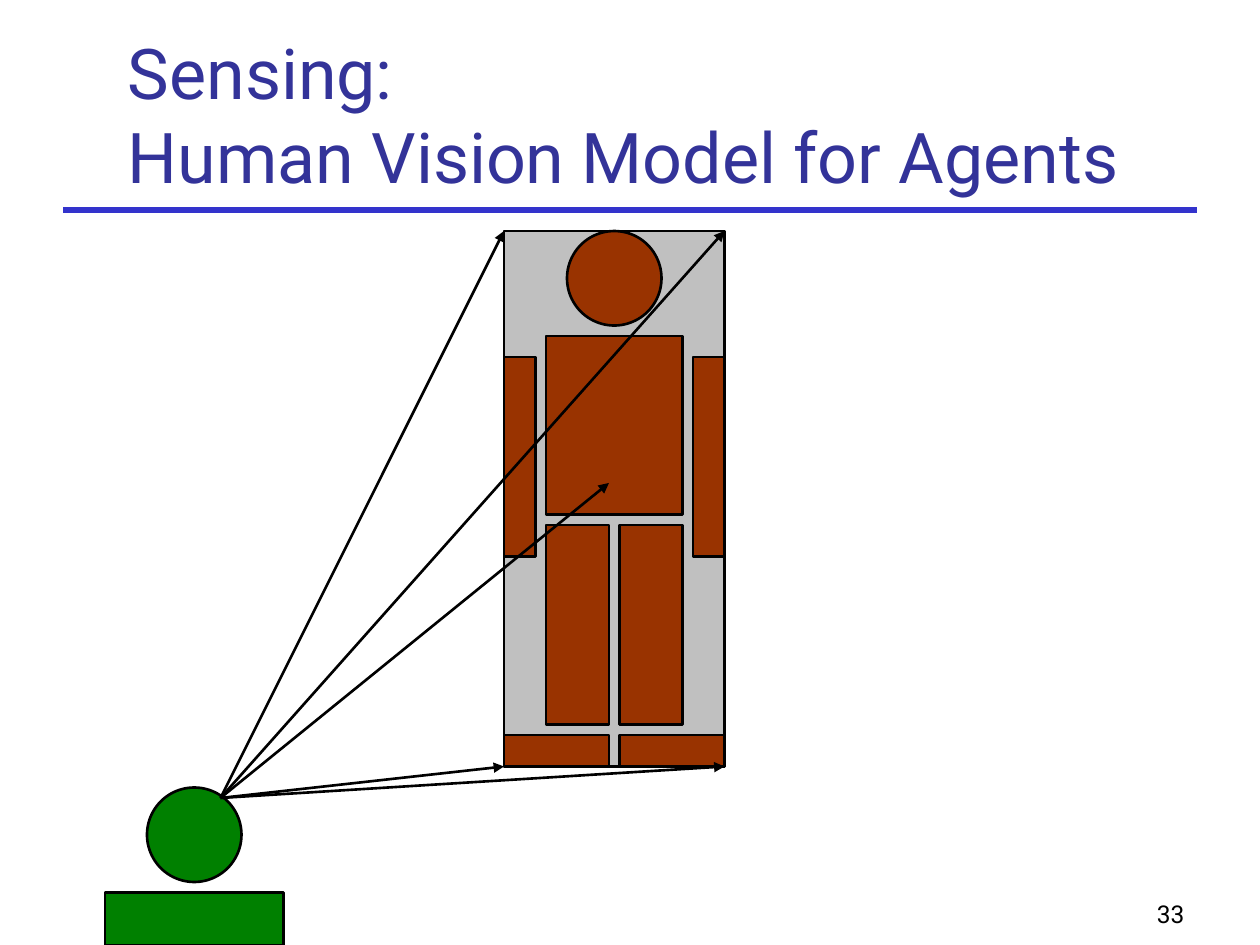
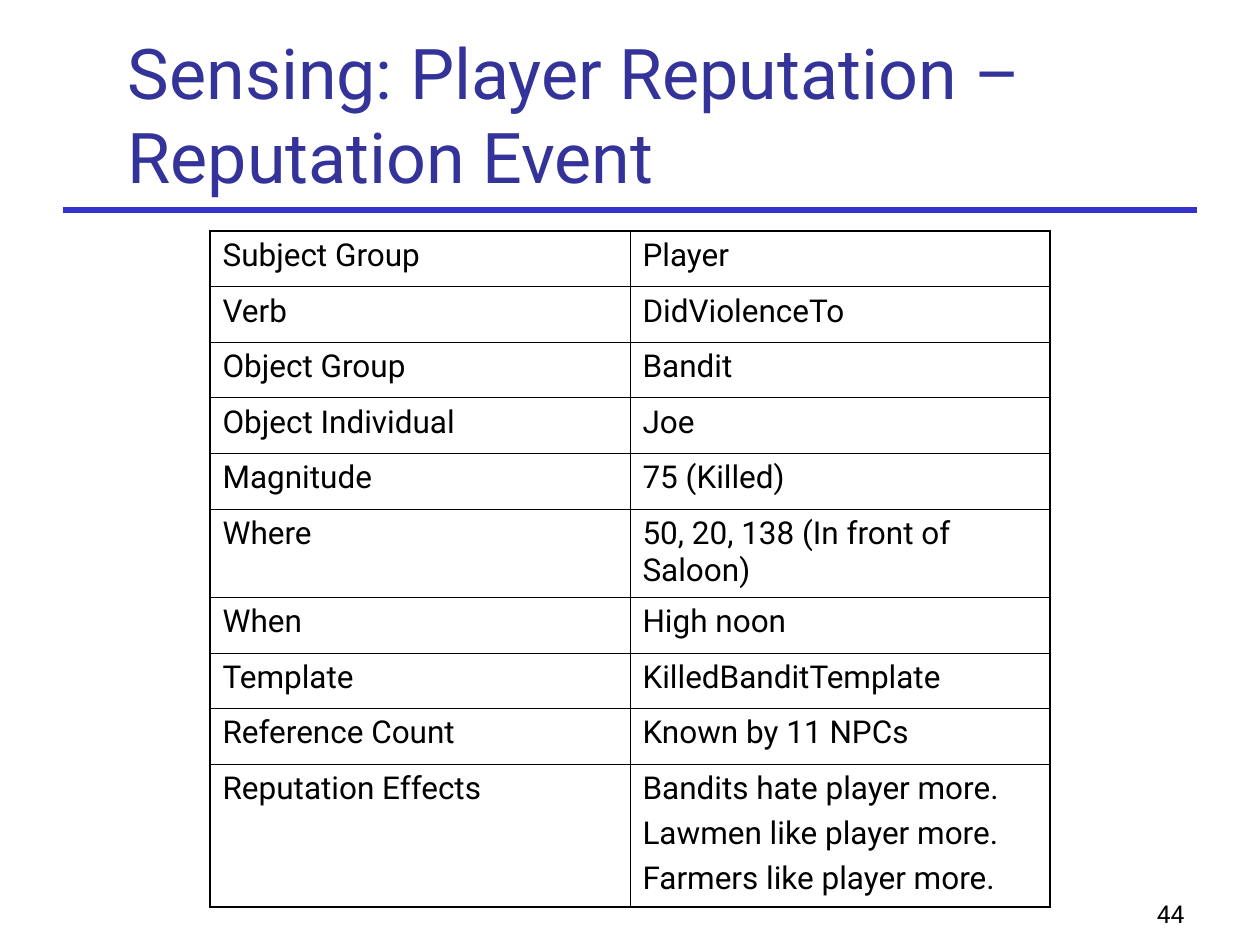
import dataclasses

import pptx
import pptx.dml.color
import pptx.enum.shapes
import pptx.enum.text
import pptx.oxml
import pptx.oxml.ns
import pptx.util

PX = 7620  # 120 px to the inch
RGB = pptx.dml.color.RGBColor.from_string
PT = pptx.util.Pt
SHAPE = pptx.enum.shapes.MSO_SHAPE
ANCHOR = pptx.enum.text.MSO_ANCHOR
ALIGN = pptx.enum.text.PP_ALIGN


@dataclasses.dataclass(frozen=True)
class Theme:
    font: str = "Roboto"
    ink: str = "000000"
    title: str = "333399"
    rule: str = "3333CC"
    box: str = "C0C0C0"
    target: str = "993300"
    viewer: str = "008000"
    title_size: int = 40
    table_size: int = 18
    number_size: int = 14
    rule_width: float = 3
    outline: float = 1.5
    table_frame: float = 1.08
    table_grid: float = 0.45
    paragraph_gap: float = 4.5


T = Theme()


def write(tf, lines, size, color, align=ALIGN.LEFT, **frame):
    """Fill a text frame with one paragraph per line; frame holds its settings."""
    for name, value in {"word_wrap": True, **frame}.items():
        setattr(tf, name, value)
    for i, line in enumerate(lines):
        p = tf.paragraphs[0] if i == 0 else tf.add_paragraph()
        p.alignment = align
        if i:
            p.space_before = PT(T.paragraph_gap)
        p.text = line
        for r in p.runs:
            for name, value in {"name": T.font, "size": PT(size)}.items():
                setattr(r.font, name, value)
            r.font.color.rgb = RGB(color)


def add_line(s, start, end, color, width, arrow=False):
    line = s.shapes.add_connector(
        pptx.enum.shapes.MSO_CONNECTOR.STRAIGHT, *(v * PX for v in start + end))
    line.line.color.rgb = RGB(color)
    line.line.width = PT(width)
    if arrow:
        tail = pptx.oxml.parse_xml(
            f'<a:tailEnd {pptx.oxml.ns.nsdecls("a")} type="triangle"/>')
        line.line._get_or_add_ln().append(tail)
    line._element.spPr.append(
        pptx.oxml.parse_xml(f'<a:effectLst {pptx.oxml.ns.nsdecls("a")}/>'))


prs = pptx.Presentation()
prs.slide_width, prs.slide_height = 1200 * PX, 900 * PX

# Title, rule and slide number on every slide
headings = [
    ("Sensing:\vHuman Vision Model for Agents", "33"),
    ("Sensing: Player Reputation –\vReputation Event", "44"),
]
slides = []
for title, number in headings:
    s = prs.slides.add_slide(prs.slide_layouts[6])
    add_line(s, (60, 200), (1140, 200), T.rule, T.rule_width)
    sp = s.shapes.add_textbox(*(v * PX for v in (110, 40, 1022, 150)))
    write(sp.text_frame, [title], T.title_size, T.title, vertical_anchor=ANCHOR.BOTTOM,
          margin_top=2 * PX, margin_bottom=2 * PX)
    sp = s.shapes.add_textbox(*(v * PX for v in (890, 830, 250, 60)))
    write(sp.text_frame, [number], T.number_size, T.ink, ALIGN.RIGHT,
          vertical_anchor=ANCHOR.BOTTOM)
    slides.append(s)
vision, reputation = slides

# Vision model: a figure in its bounding box, seen by a smaller viewer
left, top, width, height = 480, 220, 210, 510
right, bottom = left + width, top + height
parts = [
    (SHAPE.RECTANGLE, T.box, left, top, width, height),
    (SHAPE.OVAL, T.target, 540, top, 90, 90),
    (SHAPE.RECTANGLE, T.target, 520, 320, 130, 170),
]
limbs = {"leg": (520, 500, 60, 190), "foot": (left, 700, 100, 30), "arm": (left, 340, 30, 190)}
for x, y, w, h in limbs.values():
    for limb_x in (x, left + right - x - w):
        parts.append((SHAPE.RECTANGLE, T.target, limb_x, y, w, h))
parts += [
    (SHAPE.OVAL, T.viewer, 140, 750, 90, 90),
    (SHAPE.RECTANGLE, T.viewer, 100, 850, 170, 50),
]
for kind, color, *place in parts:
    sp = vision.shapes.add_shape(kind, *(v * PX for v in place))
    sp.shadow.inherit = False
    sp.fill.solid()
    sp.fill.fore_color.rgb = RGB(color)
    sp.line.color.rgb = RGB(T.ink)
    sp.line.width = PT(T.outline)

eye = (210, 760)
for sighted in [(right, top), (right, bottom), (left, top), (left, bottom), (580, 460)]:
    add_line(vision, eye, sighted, T.ink, T.outline, arrow=True)

# Reputation event table
event = [
    ("Subject Group", "Player"),
    ("Verb", "DidViolenceTo"),
    ("Object Group", "Bandit"),
    ("Object Individual", "Joe"),
    ("Magnitude", "75 (Killed)"),
    ("Where", "50, 20, 138 (In front of Saloon)"),
    ("When", "High noon"),
    ("Template", "KilledBanditTemplate"),
    ("Reference Count", "Known by 11 NPCs"),
    ("Reputation Effects",
     "Bandits hate player more.\nLawmen like player more.\nFarmers like player more."),
]
row_height, tall_rows = 53, {"Where": 84, "Reputation Effects": 136}
heights = [tall_rows.get(field, row_height) for field, _ in event]
table = reputation.shapes.add_table(
    len(event), 2, *(v * PX for v in (200, 220, 800, sum(heights)))).table
table.first_row = table.horz_banding = False
last = len(event) - 1
for i, (row, h) in enumerate(zip(event, heights)):
    table.rows[i].height = h * PX
    for j, text in enumerate(row):
        cell = table.cell(i, j)
        write(cell.text_frame, text.split("\n"), T.table_size, T.ink)
        on_frame = {"lnL": j == 0, "lnR": j == 1, "lnT": i == 0, "lnB": i == last}
        for edge, outer in on_frame.items():
            weight = PT(T.table_frame if outer else T.table_grid)
            cell._tc.get_or_add_tcPr().append(pptx.oxml.parse_xml(
                f'<a:{edge} {pptx.oxml.ns.nsdecls("a")} w="{weight}"><a:solidFill>'
                f'<a:srgbClr val="{T.ink}"/></a:solidFill></a:{edge}>'))
        cell.fill.background()

prs.save("out.pptx")
